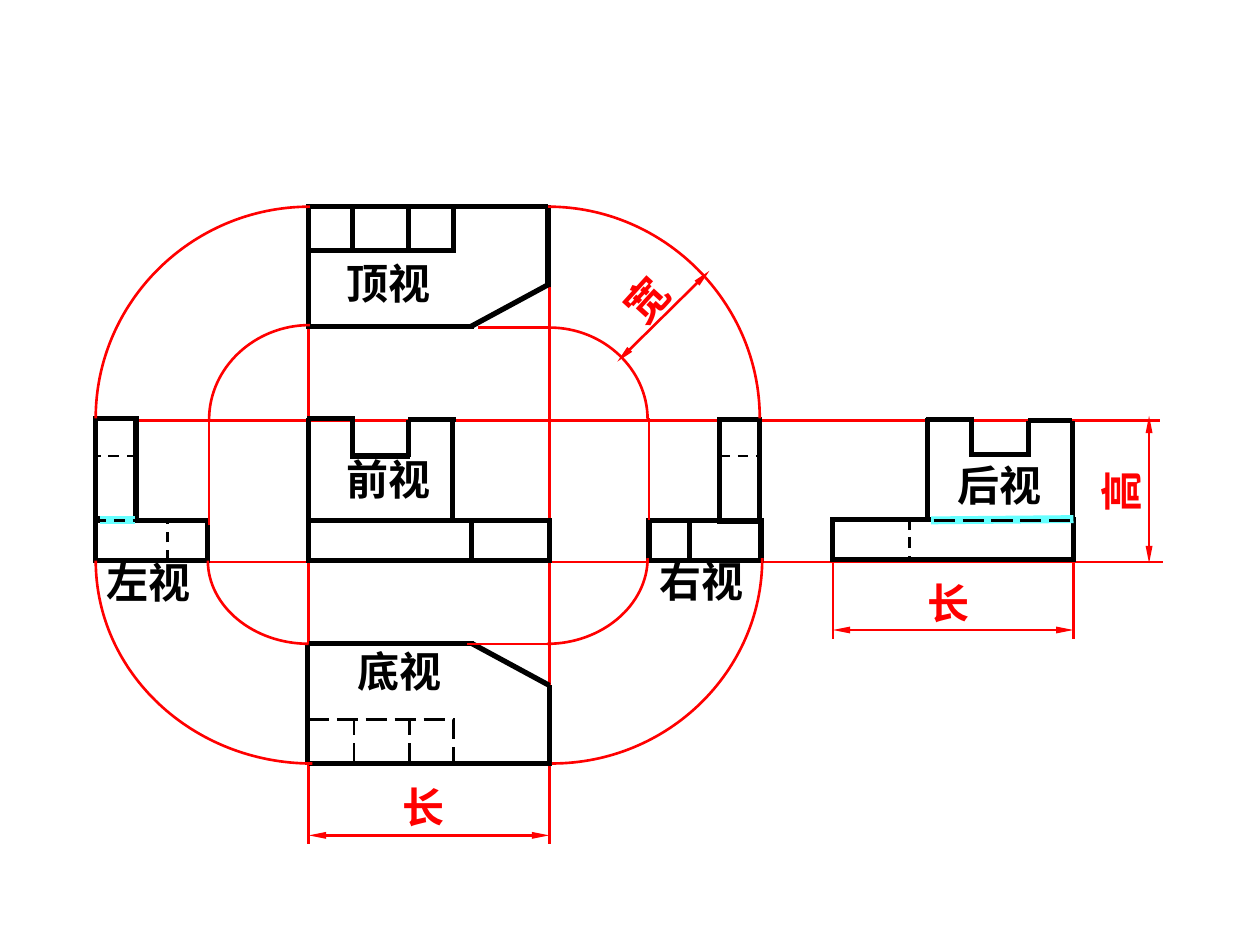
from lxml.etree import SubElement
from pptx import Presentation
from pptx.dml.color import RGBColor
from pptx.enum.dml import MSO_LINE
from pptx.enum.shapes import MSO_CONNECTOR, MSO_SHAPE
from pptx.enum.text import MSO_ANCHOR, MSO_AUTO_SIZE, PP_ALIGN
from pptx.oxml.ns import qn
from pptx.util import Pt

BLACK = RGBColor(0x00, 0x00, 0x00)
RED = RGBColor(0xFF, 0x00, 0x00)
CYAN = RGBColor(0x66, 0xFF, 0xFF)
PX = 9144
THIN, THICK, MARKER = 1.5, 3, 4.5
BEND = 0.55
DASH, LONG_DASH = MSO_LINE.DASH, MSO_LINE.LONG_DASH


class Drawing:
    """Draws orthographic views and their dimensions on one slide."""

    def __init__(self, page, font="Times New Roman", size=24):
        self.page = page
        self.font = font
        self.size = size

    def stroke(self, shape, color, width, dash=None):
        shape.line.color.rgb = color
        shape.line.width = Pt(width)
        if dash:
            shape.line.dash_style = dash

    def line(self, x1, y1, x2, y2, color=BLACK, width=THICK, dash=None):
        ends = (value * PX for value in (x1, y1, x2, y2))
        line = self.page.shapes.add_connector(MSO_CONNECTOR.STRAIGHT, *ends)
        self.stroke(line, color, width, dash)
        SubElement(line._element.spPr, qn("a:effectLst"))
        return line

    def edges(self, *ends):
        for end in ends:
            self.line(*end)

    def hidden(self, *ends, dash=DASH):
        for end in ends:
            self.line(*end, width=THIN, dash=dash)

    def guides(self, *ends):
        for end in ends:
            self.line(*end, color=RED, width=THIN)

    def arrow(self, *ends):
        line = self.line(*ends, color=RED, width=THIN)
        for tag in ("a:headEnd", "a:tailEnd"):
            SubElement(line.line._get_or_add_ln(), qn(tag), type="triangle", w="sm", len="lg")

    def rectangle(self, left, top, width, height, weight=THICK, dash=None):
        frame = (value * PX for value in (left, top, width, height))
        box = self.page.shapes.add_shape(MSO_SHAPE.RECTANGLE, *frame)
        box.shadow.inherit = False
        box.fill.background()
        self.stroke(box, BLACK, weight, dash)
        SubElement(box.line._get_or_add_ln(), qn("a:miter"), lim="800000")

    def quarter(self, x1, y1, x2, y2):
        bends = ((x1 + BEND * (x2 - x1), y1), (x2, y2 + BEND * (y1 - y2)), (x2, y2))
        builder = self.page.shapes.build_freeform(x1, y1, scale=PX)
        builder.add_line_segments(
            [(round(x), round(y)) for x, y in bends], close=False
        )
        curve = builder.convert_to_shape()
        outline = next(curve._element.iter(qn("a:path")))
        bezier = SubElement(outline, qn("a:cubicBezTo"))
        for segment in outline.findall(qn("a:lnTo")):
            bezier.append(segment[0])
            outline.remove(segment)
        curve.shadow.inherit = False
        curve.fill.background()
        self.stroke(curve, RED, THIN)

    def label(self, text, left, top, width=88, color=BLACK, rotation=0):
        frame = (value * PX for value in (left, top, width, 50))
        box = self.page.shapes.add_textbox(*frame)
        box.rotation = rotation
        box.text_frame.word_wrap = False
        box.text_frame.auto_size = MSO_AUTO_SIZE.SHAPE_TO_FIT_TEXT
        box.text_frame.vertical_anchor = MSO_ANCHOR.MIDDLE
        para = box.text_frame.paragraphs[0]
        para.alignment = PP_ALIGN.CENTER
        span = para.add_run()
        span.text = text
        span.font.name = self.font
        span.font.size = Pt(self.size)
        span.font.bold = True
        span.font.color.rgb = color

    def dimension(self, text, left, top, ends, rotation=0):
        self.arrow(*ends)
        self.label(text, left, top, 53, RED, rotation)


def draw_dimensions(drawing):
    drawing.guides((661, 442, 661, 507), (852, 444, 852, 507))
    drawing.dimension("长", 726, 453, (661, 500, 852, 500))
    drawing.guides((245, 260, 245, 670), (436, 226, 436, 670))
    drawing.dimension("长", 310, 615, (245, 663, 436, 663))
    drawing.guides((162, 446, 923, 446), (108, 334, 921, 334))
    drawing.dimension("高", 863, 365, (912, 330, 912, 447), 270)


def draw_front(drawing):
    drawing.edges((279, 362, 325, 362))
    drawing.rectangle(245, 413, 191, 32)
    drawing.edges(
        (245, 413, 245, 332), (244, 332, 282, 332), (280, 332, 280, 364),
        (324, 333, 324, 363), (324, 333, 362, 333), (359, 332, 359, 413),
        (374, 413, 374, 446),
    )


def draw_top(drawing):
    drawing.edges(
        (245, 164, 245, 261), (245, 259, 376, 259), (245, 164, 435, 164),
        (435, 163, 435, 228), (435, 226, 374, 259),
    )
    drawing.rectangle(245, 164, 115, 35)
    drawing.edges((324, 164, 324, 199), (280, 164, 280, 199))


def draw_right(drawing):
    drawing.rectangle(515, 413, 89, 32)
    drawing.rectangle(571, 333, 32, 81)
    drawing.edges((547, 445, 547, 414))
    drawing.hidden((571, 362, 603, 362))


def draw_bottom(drawing):
    drawing.edges(
        (244, 607, 244, 511), (245, 511, 376, 511), (245, 606, 436, 606),
        (436, 608, 436, 544), (436, 544, 375, 511),
    )
    drawing.rectangle(245, 571, 115, 35, THIN, LONG_DASH)
    drawing.hidden((325, 606, 325, 571), (281, 606, 281, 571), dash=LONG_DASH)


def draw_left(drawing):
    drawing.rectangle(76, 413, 89, 32)
    drawing.rectangle(76, 332, 32, 80)
    drawing.hidden((133, 445, 133, 414), (109, 362, 76, 362))
    drawing.line(79, 413, 107, 413, CYAN, MARKER)
    drawing.hidden((76, 413, 108, 413))


def draw_back(drawing):
    drawing.edges((816, 361, 771, 361))
    drawing.rectangle(661, 412, 191, 32)
    drawing.edges(
        (851, 412, 851, 334), (816, 334, 816, 363), (771, 332, 771, 363),
        (773, 333, 735, 333), (736, 332, 736, 412), (816, 334, 851, 334),
    )
    drawing.hidden((722, 412, 722, 446))
    drawing.line(739, 413, 852, 412, CYAN, MARKER)
    drawing.hidden((741, 413, 854, 413), dash=LONG_DASH)


def draw_projection(drawing):
    drawing.guides(
        (166, 417, 166, 329), (515, 413, 515, 332),
        (371, 511, 434, 511), (379, 260, 435, 260),
    )
    for curve in (
        (245, 511, 165, 445), (248, 606, 76, 445), (438, 606, 605, 443), (436, 260, 514, 333),
        (435, 164, 603, 332), (246, 258, 166, 333), (246, 164, 76, 332), (434, 511, 514, 443),
    ):
        drawing.quarter(*curve)
    drawing.dimension("宽", 486, 213, (490, 287, 563, 215), 312.2)


def main():
    deck = Presentation()
    deck.slide_width, deck.slide_height = 1000 * PX, 750 * PX
    drawing = Drawing(deck.slides.add_slide(deck.slide_layouts[6]))
    draw_dimensions(drawing)
    for draw_view in (draw_front, draw_top, draw_right, draw_bottom, draw_left, draw_back):
        draw_view(drawing)
    for text, left, top in (
        ("左视", 74, 437), ("右视", 513, 436), ("前视", 264, 355),
        ("顶视", 264, 199), ("底视", 273, 507), ("后视", 749, 360),
    ):
        drawing.label(text, left, top)
    draw_projection(drawing)
    deck.save("out.pptx")


if __name__ == "__main__":
    main()
